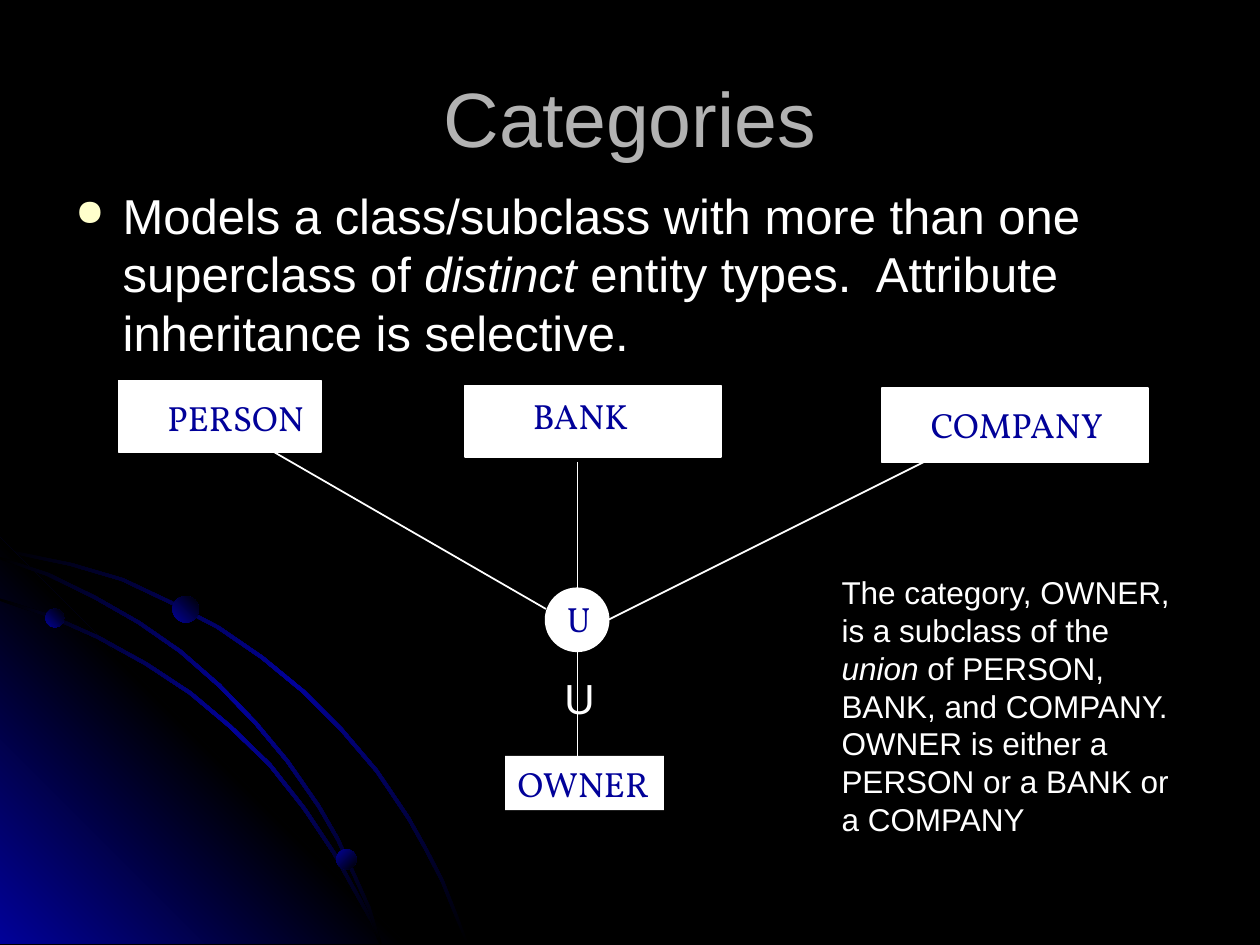
import pptx
import pptx.util
import pptx.dml.color
import pptx.enum.shapes
import pptx.enum.text
import pptx.oxml
import pptx.oxml.ns

Pt = pptx.util.Pt
Shape = pptx.enum.shapes.MSO_SHAPE
Text = pptx.enum.text

INK = {"back": "000000", "glow": "010199", "white": "FFFFFF",
       "title": "B2B2B2", "dot": "FFFFCC"}

# Upper edges of the three arcs; the lower edge is the same curve, shifted
ARCS = [
    [(0, 313.2), (20.2, 317.5), (41, 321.8), (70.6, 330.5), (97.9, 343.4),
     (125.3, 357.8), (150.5, 375.1), (174.2, 394.6), (195.8, 416.2),
     (216, 439.9), (234, 466.6), (244.1, 484.6), (253.4, 502.6),
     (260.6, 520.6), (267.8, 539.3)],
    [(0, 342), (29.5, 351.4), (56.9, 363.6), (84.2, 378.7), (109.4, 395.3),
     (132.5, 414.7), (154.8, 436.3), (174.2, 460.8), (191.5, 486.7),
     (205.9, 512.6), (213.1, 525.6), (218.2, 539.3)],
    [(0, 318.2), (28.1, 327.6), (54.7, 340.6), (79.9, 355), (103.7, 371.5),
     (126, 391), (146.9, 412.6), (164.9, 434.2), (182.9, 460.1),
     (193.7, 478.8), (203, 499), (211.7, 518.4), (218.2, 539.3)],
]
FLOOR = 539.3
WEDGE = [(0, 307.4), (231.8, FLOOR), (0, FLOOR)]
# Left, top, size, angle
BEADS = [(25.9, 347.8, 10.8, 315), (192.2, 485.3, 11.5, 45),
         (98.6, 340.6, 15.1, 315)]

TITLE = [("Categories", False)]
BODY = [("Models a class/subclass with more than one superclass of ", False),
        ("distinct", True),
        (" entity types.  Attribute inheritance is selective.", False)]
NOTE = [("The category, OWNER, is a subclass of the ", False),
        ("union", True),
        (" of PERSON, BANK, and COMPANY.  OWNER is either a PERSON"
         " or a BANK or a COMPANY", False)]

# Kind and place of the white shapes
PLATES = [(Shape.OVAL, (311.8, 336.2, 36, 36)),
          (Shape.RECTANGLE, (67.7, 217.4, 115.9, 41)),
          (Shape.RECTANGLE, (265.7, 220.3, 146.2, 41)),
          (Shape.RECTANGLE, (504, 221.8, 151.9, 42.5))]
LABELS = [("PERSON", (88.6, 223.2, 92.9, 31)),
          ("BANK", (297.4, 221.8, 70.6, 31)),
          ("COMPANY", (524.9, 226.8, 114.5, 31)),
          ("U", (316.8, 337.7, 28.8, 31))]
OWNER = (288.7, 432, 90.7, 31)
LINKS = [(156, 258, 312, 348), (330, 264, 330, 336),
         (528, 264, 348, 354), (330, 372, 330, 432)]

deck = pptx.Presentation()
deck.slide_width, deck.slide_height = Pt(720), Pt(540)
slide = deck.slides.add_slide(deck.slide_layouts[6])
shapes = slide.shapes


def rgb(name):
    return pptx.dml.color.RGBColor.from_string(INK[name])


def xml(text):
    head, rest = text.split(">", 1)
    slash = "/" if head.endswith("/") else ""
    return pptx.oxml.parse_xml(
        f"{head.rstrip('/')} {pptx.oxml.ns.nsdecls('a')}{slash}>{rest}")


def shade(shape, names, turn):
    """Spread the colours evenly along the given clockwise angle."""
    shape.shadow.inherit = False
    shape.line.fill.background()
    step = 100000 // (len(names) - 1)
    stops = "".join(f'<a:gs pos="{i * step}"><a:srgbClr val="{INK[n]}"/></a:gs>'
                    for i, n in enumerate(names))
    fill = xml(f'<a:gradFill rotWithShape="1"><a:gsLst>{stops}</a:gsLst>'
               f'<a:lin ang="{turn * 60000}" scaled="1"/></a:gradFill>')
    shape.fill.background()
    old = shape._element.spPr.find(pptx.oxml.ns.qn("a:noFill"))
    old.getparent().replace(old, fill)


def trace(points):
    spots = [(Pt(x), Pt(y)) for x, y in points]
    pen = shapes.build_freeform(*spots[0], scale=1.0)
    pen.add_line_segments(spots[1:], close=True)
    return pen.convert_to_shape()


def arc(edge):
    low = [(max(0, x - 1.4), min(FLOOR, y + 1.4)) for x, y in edge]
    shade(trace(edge + low[::-1]), ("back", "glow", "back"), 45)


def plate(kind, place, edge=True):
    shape = shapes.add_shape(kind, *map(Pt, place))
    shape.shadow.inherit = False
    shape.fill.solid()
    shape.fill.fore_color.rgb = rgb("white")
    if edge:
        shape.line.color.rgb = rgb("white")
        shape.line.width = Pt(1)
    else:
        shape.line.fill.background()
    return shape


def write(shape, runs, size, ink, font="Arial", wrap=True, grow=False,
          align="LEFT", anchor="TOP", bullet=False):
    frame = shape.text_frame
    frame.word_wrap = wrap
    frame.auto_size = (Text.MSO_AUTO_SIZE.SHAPE_TO_FIT_TEXT if grow
                       else Text.MSO_AUTO_SIZE.NONE)
    frame.vertical_anchor = getattr(Text.MSO_ANCHOR, anchor)
    para = frame.paragraphs[0]
    para.alignment = getattr(Text.PP_ALIGN, align)
    if bullet:
        props = para._p.get_or_add_pPr()
        props.set("marL", str(Pt(27)))
        props.set("indent", str(-Pt(27)))
        for part in (f'<a:buClr><a:srgbClr val="{INK["dot"]}"/></a:buClr>',
                     '<a:buSzPct val="75000"/>', '<a:buChar char="●"/>'):
            props.append(xml(part))
    for words, slant in runs:
        run = para.add_run()
        run.text = words
        run.font.name, run.font.size = font, Pt(size)
        run.font.italic = slant
        run.font.color.rgb = rgb(ink)


def box(place, *args, **opts):
    write(shapes.add_textbox(*map(Pt, place)), *args, **opts)


def label(shape, words):
    write(shape, [(words, False)], 20, "glow", "Vollkorn", wrap=False, grow=True)


def link(ends):
    line = shapes.add_connector(pptx.enum.shapes.MSO_CONNECTOR.STRAIGHT,
                                *map(Pt, ends))
    line.line.color.rgb = rgb("white")
    line.line.width = Pt(1)
    line._element.spPr.append(xml("<a:effectLst/>"))


# Background with glowing corner
slide.background.fill.solid()
slide.background.fill.fore_color.rgb = rgb("back")
arc(ARCS[0])
shade(trace(WEDGE), ("glow", "back", "glow"), 315)
for edge in ARCS[1:]:
    arc(edge)
for left, top, size, turn in BEADS:
    bead = shapes.add_shape(Shape.OVAL, *map(Pt, (left, top, size, size)))
    shade(bead, ("glow", "back"), turn)

# Title and bullet
box((36, 21.6, 648, 90), TITLE, 44, "title", align="CENTER", anchor="MIDDLE")
box((36, 102.2, 648, 380.9), BODY, 28, "white", bullet=True)

# Diagram
for kind, place in PLATES:
    plate(kind, place)
for ends in LINKS[:3]:
    link(ends)
for words, place in LABELS:
    label(shapes.add_textbox(*map(Pt, place)), words)
label(plate(Shape.RECTANGLE, OWNER, edge=False), "OWNER")
link(LINKS[3])

# Explanation and subset sign
box((473.8, 324, 216, 158.4), NOTE, 18, "white", grow=True)
box((315.4, 380.9, 30.2, 36), [("U", False)], 24, "white", grow=True,
    align="CENTER")

deck.save("out.pptx")
